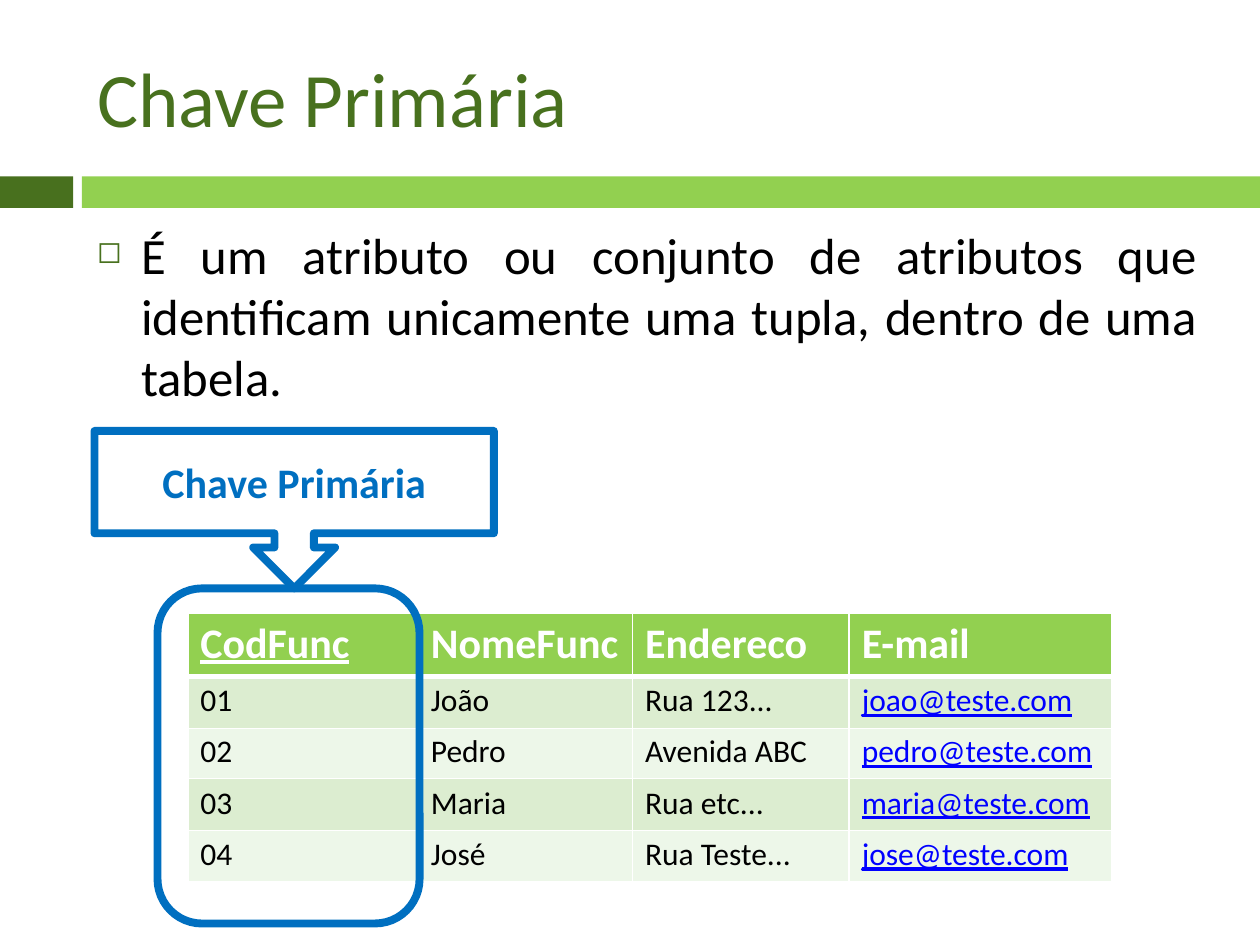
"""Build the primary key slide: title, definition, employee table and key callout."""
from dataclasses import dataclass

from lxml import etree
from pptx import Presentation
from pptx import util as u
from pptx.dml.color import RGBColor
from pptx.enum import shapes, text
from pptx.oxml.ns import qn

WIDTH, HEIGHT = u.Inches(10), u.Inches(7.5)
COLS, ROWS = 100, 75
FONT = "Calibri"
DARK_GREEN = RGBColor(0x48, 0x71, 0x1E)
BAR_GREEN = RGBColor(0x48, 0x70, 0x1E)
GREEN = RGBColor(0x92, 0xD0, 0x50)
BAND = RGBColor(0xDC, 0xED, 0xD0)
LIGHT_BAND = RGBColor(0xED, 0xF7, 0xE9)
BLUE = RGBColor(0x00, 0x6F, 0xC0)
LINK = RGBColor(0x00, 0x00, 0xFF)
WHITE = RGBColor(0xFF, 0xFF, 0xFF)
BLACK = RGBColor(0x00, 0x00, 0x00)

TABLE_COLS = (18.3, 17, 17.2, 20.8)
TABLE_ROWS = (5, 4.1, 4, 4.1, 4.1)
HEADER = ("CodFunc", "NomeFunc", "Endereco", "E-mail")
STAFF = (
    ("01", "João", "Rua 123...", "joao@teste.com"),
    ("02", "Pedro", "Avenida ABC", "pedro@teste.com"),
    ("03", "Maria", "Rua etc...", "maria@teste.com"),
    ("04", "José", "Rua Teste...", "jose@teste.com"),
)


@dataclass(frozen=True)
class Area:
    """A rectangle in grid columns and rows."""

    col: float
    row: float
    cols: float
    rows: float

    def box(self) -> tuple[int, int, int, int]:
        """Return left, top, width and height as lengths."""
        return across(self.col), down(self.row), across(self.cols), down(self.rows)


@dataclass(frozen=True)
class Block:
    """A preset shape with its area, colours and adjustments."""

    kind: shapes.MSO_SHAPE
    area: Area
    fill: RGBColor | None = None
    line: RGBColor | None = None
    adjustments: tuple[float, ...] = ()


BARS = (
    Block(shapes.MSO_SHAPE.RECTANGLE, Area(0, 14, 5.8, 2.5), fill=BAR_GREEN),
    Block(shapes.MSO_SHAPE.RECTANGLE, Area(6.5, 14, 93.5, 2.5), fill=GREEN),
)
KEY_FRAME = Block(shapes.MSO_SHAPE.ROUNDED_RECTANGLE, Area(12.5, 46.7, 20.8, 26.6),
                  line=BLUE, adjustments=(0.17,))
KEY_CALLOUT = Block(shapes.MSO_SHAPE.DOWN_ARROW_CALLOUT, Area(7.5, 34.2, 31.7, 12.5),
                    line=BLUE, adjustments=(0.25, 0.26, 0.26, 0.65))


def across(cols: float) -> int:
    """Convert grid columns to a length."""
    return round(WIDTH * cols / COLS)


def down(rows: float) -> int:
    """Convert grid rows to a length."""
    return round(HEIGHT * rows / ROWS)


def apply(target, values: dict) -> None:
    """Set each attribute in a dict of format values."""
    for name, value in values.items():
        setattr(target, name, value)


def write(tf, words: str, size: float, color: RGBColor,
          align=text.PP_ALIGN.LEFT, **font):
    """Write one formatted paragraph into a text frame."""
    apply(tf, {"margin_left": 0, "margin_right": 0, "margin_top": 0,
               "margin_bottom": 0, "word_wrap": True})
    p = tf.paragraphs[0]
    p.alignment = align
    r = p.add_run()
    r.text = words
    apply(r.font, {"name": FONT, "size": u.Pt(size), **font})
    r.font.color.rgb = color
    return p


def add_block(s, block: Block):
    """Draw a preset shape."""
    sp = s.shapes.add_shape(block.kind, *block.area.box())
    sp.shadow.inherit = False
    for i, value in enumerate(block.adjustments):
        sp.adjustments[i] = value
    if block.fill is None:
        sp.fill.background()
    else:
        sp.fill.solid()
        sp.fill.fore_color.rgb = block.fill
    if block.line is None:
        sp.line.fill.background()
    else:
        sp.line.color.rgb = block.line
        sp.line.width = u.Pt(4.5)
    return sp


def add_title(s) -> None:
    """Place and format the title placeholder."""
    sp = s.shapes.title
    apply(sp, dict(zip(("left", "top", "width", "height"), Area(7.7, 4, 84, 7.6).box())))
    sp.text_frame.vertical_anchor = text.MSO_ANCHOR.TOP
    write(sp.text_frame, "Chave Primária", 44, DARK_GREEN)


def add_definition(s) -> None:
    """Draw the justified, bulleted definition."""
    sp = s.shapes.add_textbox(*Area(7.6, 17.8, 87.5, 15).box())
    p = write(sp.text_frame,
              "É um atributo ou conjunto de atributos que identificam "
              "unicamente uma tupla, dentro de uma tabela.",
              29, BLACK, text.PP_ALIGN.JUSTIFY)
    ppr = p._p.get_or_add_pPr()
    ppr.set("marL", str(across(3.6)))
    ppr.set("indent", str(-across(3.5)))
    bullet_color = etree.SubElement(ppr, qn("a:buClr"))
    etree.SubElement(bullet_color, qn("a:srgbClr"), val=str(DARK_GREEN))
    etree.SubElement(ppr, qn("a:buSzPct"), val="60000")
    etree.SubElement(ppr, qn("a:buChar"), char="◻")


def set_borders(cell, top: float, bottom: float) -> None:
    """Give a cell white borders, with top and bottom widths in points."""
    tcpr = cell._tc.get_or_add_tcPr()
    for i, (side, width) in enumerate((("L", 1), ("R", 1), ("T", top), ("B", bottom))):
        ln = etree.Element(qn(f"a:ln{side}"), w=str(u.Pt(width)))
        fill = etree.SubElement(ln, qn("a:solidFill"))
        etree.SubElement(fill, qn("a:srgbClr"), val=str(WHITE))
        tcpr.insert(i, ln)


def add_staff_table(s) -> None:
    """Draw the employee table with banded rows."""
    area = Area(14.9, 48.7, sum(TABLE_COLS), sum(TABLE_ROWS))
    table = s.shapes.add_table(len(TABLE_ROWS), len(TABLE_COLS), *area.box()).table
    for column, cols in zip(table.columns, TABLE_COLS):
        column.width = across(cols)
    for row, rows in zip(table.rows, TABLE_ROWS):
        row.height = down(rows)
    for i, values in enumerate((HEADER, *STAFF)):
        fill = GREEN if i == 0 else BAND if i % 2 else LIGHT_BAND
        for j, value in enumerate(values):
            cell = table.cell(i, j)
            is_link = i > 0 and j == len(HEADER) - 1
            is_key = i == j == 0
            color = WHITE if i == 0 else LINK if is_link else BLACK
            write(cell.text_frame, value, 18 if i else 24, color,
                  bold=i == 0, underline=is_key or is_link)
            apply(cell, {"margin_left": across(1), "margin_right": 0,
                         "margin_top": down(0.3), "margin_bottom": down(0.5),
                         "vertical_anchor": text.MSO_ANCHOR.MIDDLE})
            cell.fill.solid()
            cell.fill.fore_color.rgb = fill
            set_borders(cell, 3 if i == 1 else 1, 3 if i == 0 else 1)


def main() -> None:
    """Build and save the slide."""
    prs = Presentation()
    apply(prs, {"slide_width": WIDTH, "slide_height": HEIGHT})
    s = prs.slides.add_slide(prs.slide_layouts.get_by_name("Title Only"))
    for bar in BARS:
        add_block(s, bar)
    add_title(s)
    add_staff_table(s)
    add_block(s, KEY_FRAME)
    callout = add_block(s, KEY_CALLOUT)
    write(callout.text_frame, "Chave Primária", 24, BLUE, text.PP_ALIGN.CENTER, bold=True)
    callout.text_frame.vertical_anchor = text.MSO_ANCHOR.MIDDLE
    add_definition(s)
    prs.save("out.pptx")


if __name__ == "__main__":
    main()
